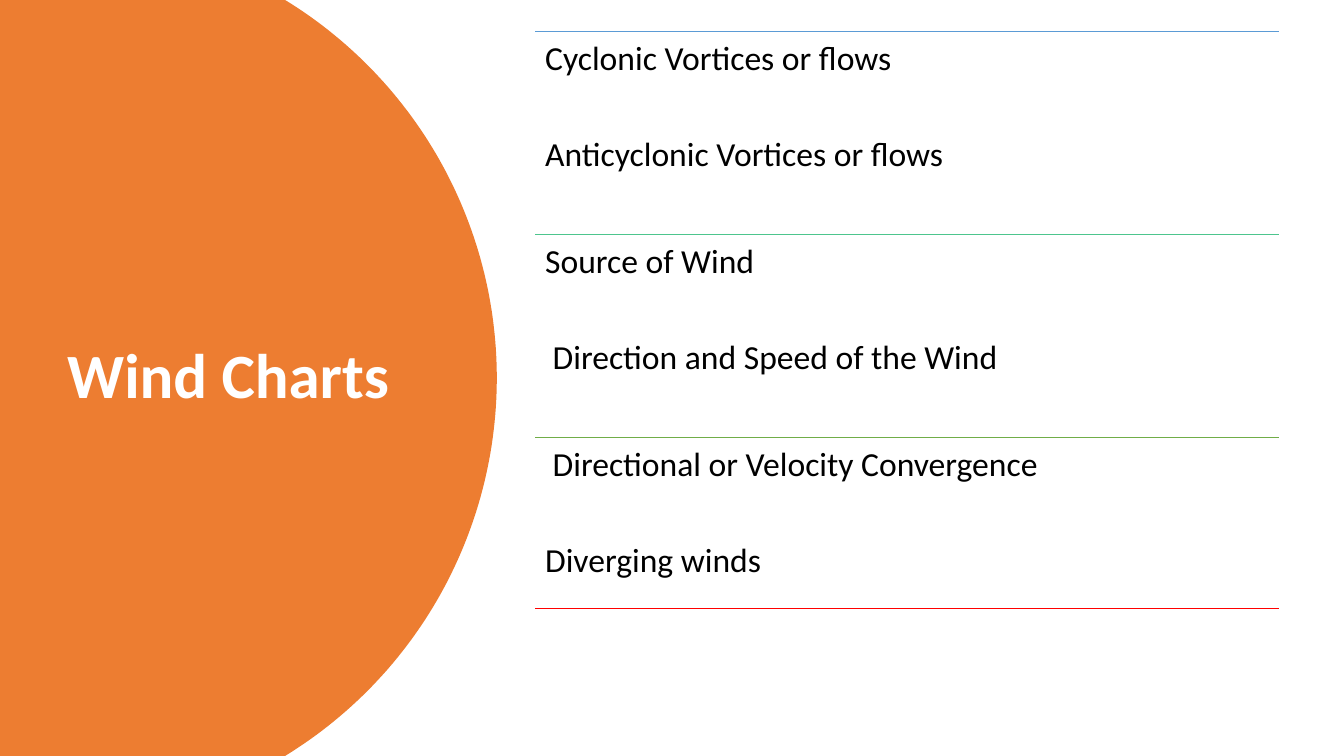
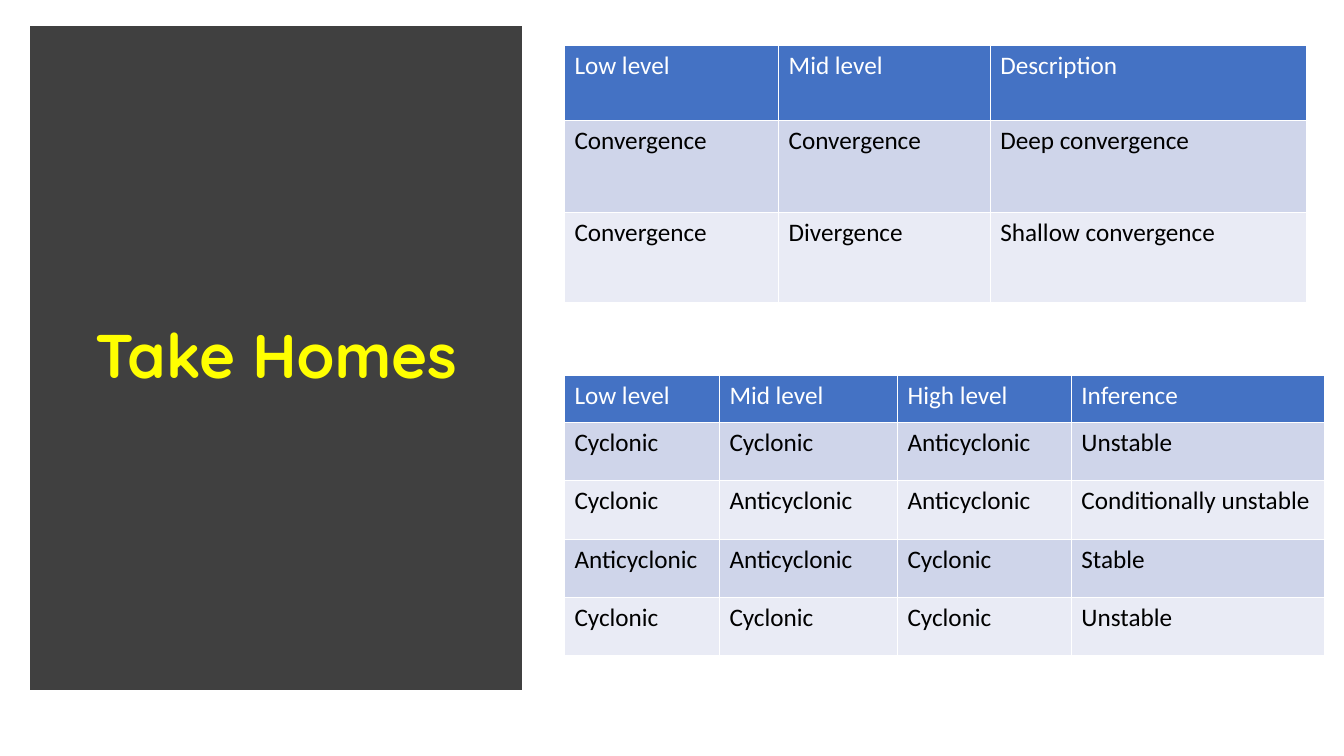
"""Build the wind charts slide and the take homes slide."""
from math import asin, cos, sin

from lxml.etree import SubElement
from pptx import Presentation
from pptx.dml.color import RGBColor
from pptx.enum.shapes import MSO_CONNECTOR, MSO_SHAPE
from pptx.enum.text import MSO_ANCHOR, PP_ALIGN
from pptx.oxml.ns import qn
from pptx.util import Pt

WHITE, BLACK, ORANGE, CHARCOAL, YELLOW = "FFFFFF", "000000", "ED7D31", "404040", "FFFF00"
HEADER, BANDS = "4472C4", ("CFD5EA", "E9EBF5")
BODY_FONT, DISPLAY_FONT = "Calibri", "Quicksand"


def rgb(value):
    return RGBColor.from_string(value)


def add_run(paragraph, text, size, color, font=BODY_FONT, bold=False):
    run = paragraph.add_run()
    run.text = text
    run.font.size = Pt(size)
    run.font.name = font
    run.font.bold = bold
    run.font.color.rgb = rgb(color)


deck = Presentation()
deck.slide_width, deck.slide_height = Pt(960), Pt(540)
wind, take_homes = [deck.slides.add_slide(deck.slide_layouts[6]) for _ in range(2)]

center_x, center_y, radius, steps = 38.3, 270, 316.6, 120
reach = asin(center_y / radius)
angles = [reach * (2 * step / steps - 1) for step in range(steps + 1)]
arc = [(Pt(center_x + radius * cos(a)), Pt(center_y + radius * sin(a))) for a in angles]
outline = wind.shapes.build_freeform(0, 0)
outline.add_line_segments(arc + [(0, Pt(540))], close=True)
dome = outline.convert_to_shape()
dome.shadow.inherit = False
dome.fill.solid()
dome.fill.fore_color.rgb = rgb(ORANGE)
dome.line.fill.background()

panel = take_homes.shapes.add_shape(MSO_SHAPE.RECTANGLE, Pt(26.6), Pt(23.8), Pt(341.3), Pt(464.4))
panel.shadow.inherit = False
panel.fill.solid()
panel.fill.fore_color.rgb = rgb(CHARCOAL)
panel.line.color.rgb = rgb(CHARCOAL)
panel.line.width = Pt(10)
SubElement(panel.line._get_or_add_ln(), qn("a:miter"), lim="800000")

titles = [
    (wind, "Wind Charts", (0, 118, 317, 304), 48, PP_ALIGN.LEFT, 45, WHITE, BODY_FONT),
    (take_homes, "Take Homes", (36.7, 49, 321, 414), 7.2, PP_ALIGN.CENTER, 44, YELLOW, DISPLAY_FONT),
]
for slide, words, place, inset, align, size, color, font in titles:
    frame = slide.shapes.add_textbox(*map(Pt, place)).text_frame
    frame.word_wrap = True
    frame.vertical_anchor = MSO_ANCHOR.MIDDLE
    frame.margin_left = Pt(inset)
    heading = frame.paragraphs[0]
    heading.alignment = align
    heading.line_spacing = 0.9
    add_run(heading, words, size, color, font, True)

left, right, top, pitch = 382.3, 913.7, 22.5, 145.1
topics = [
    ("5B9BD5", [("Cyclonic Vortices or flows", 0), ("Anticyclonic Vortices or flows", 0)]),
    ("4DC58D", [("Source of Wind", 0), ("Direction and Speed of the Wind", 5.4)]),
    ("70AD47", [("Directional or Velocity Convergence", 5.4), ("Diverging winds", 0)]),
]
rules = [(top + pitch * i, color, 1) for i, (color, _) in enumerate(topics)]
rules.append((434.6, "FF0000", 0.5))
for y, color, width in rules:
    rule = wind.shapes.add_connector(MSO_CONNECTOR.STRAIGHT, Pt(left), Pt(y), Pt(right), Pt(y))
    rule.line.color.rgb = rgb(color)
    rule.line.width = Pt(width)
    SubElement(rule._element.spPr, qn("a:effectLst"))

for i, (_, lines) in enumerate(topics):
    frame = wind.shapes.add_textbox(Pt(left), Pt(top + pitch * i), Pt(right - left), Pt(pitch)).text_frame
    frame.word_wrap = True
    frame.margin_left = frame.margin_right = frame.margin_top = frame.margin_bottom = Pt(7.2)
    for n, (words, indent) in enumerate(lines):
        topic = frame.add_paragraph() if n else frame.paragraphs[0]
        topic.line_spacing = 0.9
        topic.space_before = Pt(42.6 * n)
        topic._p.get_or_add_pPr().set("marL", str(Pt(indent)))
        add_run(topic, words, 24, BLACK)

level_tables = [
    (32.6, (153, 151.2, 226), (53.3, 66, 64), [
        ("Low level", "Mid level", "Description"),
        ("Convergence", "Convergence", "Deep convergence"),
        ("Convergence", "Divergence", "Shallow convergence"),
    ]),
    (268.2, (110.7, 127.2, 124.2, 180.7), (33.6,) + (41.7,) * 4, [
        ("Low level", "Mid level", "High level", "Inference"),
        ("Cyclonic", "Cyclonic", "Anticyclonic", "Unstable"),
        ("Cyclonic", "Anticyclonic", "Anticyclonic", "Conditionally unstable"),
        ("Anticyclonic", "Anticyclonic", "Cyclonic", "Stable"),
        ("Cyclonic", "Cyclonic", "Cyclonic", "Unstable"),
    ]),
]
for y, widths, heights, rows in level_tables:
    levels = take_homes.shapes.add_table(
        len(rows), len(widths), Pt(403.2), Pt(y), Pt(sum(widths)), Pt(sum(heights))).table
    for column, width in zip(levels.columns, widths):
        column.width = Pt(width)
    for r, (words_in_row, height) in enumerate(zip(rows, heights)):
        levels.rows[r].height = Pt(height)
        for c, words in enumerate(words_in_row):
            cell = levels.cell(r, c)
            properties = cell._tc.get_or_add_tcPr()
            for side in ("lnL", "lnR", "lnT", "lnB"):
                border = SubElement(properties, qn(f"a:{side}"), w=str(Pt(1)))
                SubElement(SubElement(border, qn("a:solidFill")), qn("a:srgbClr"), val=WHITE)
            cell.fill.solid()
            cell.fill.fore_color.rgb = rgb(BANDS[(r - 1) % 2] if r else HEADER)
            add_run(cell.text_frame.paragraphs[0], words, 18, BLACK if r else WHITE)

deck.save("out.pptx")
